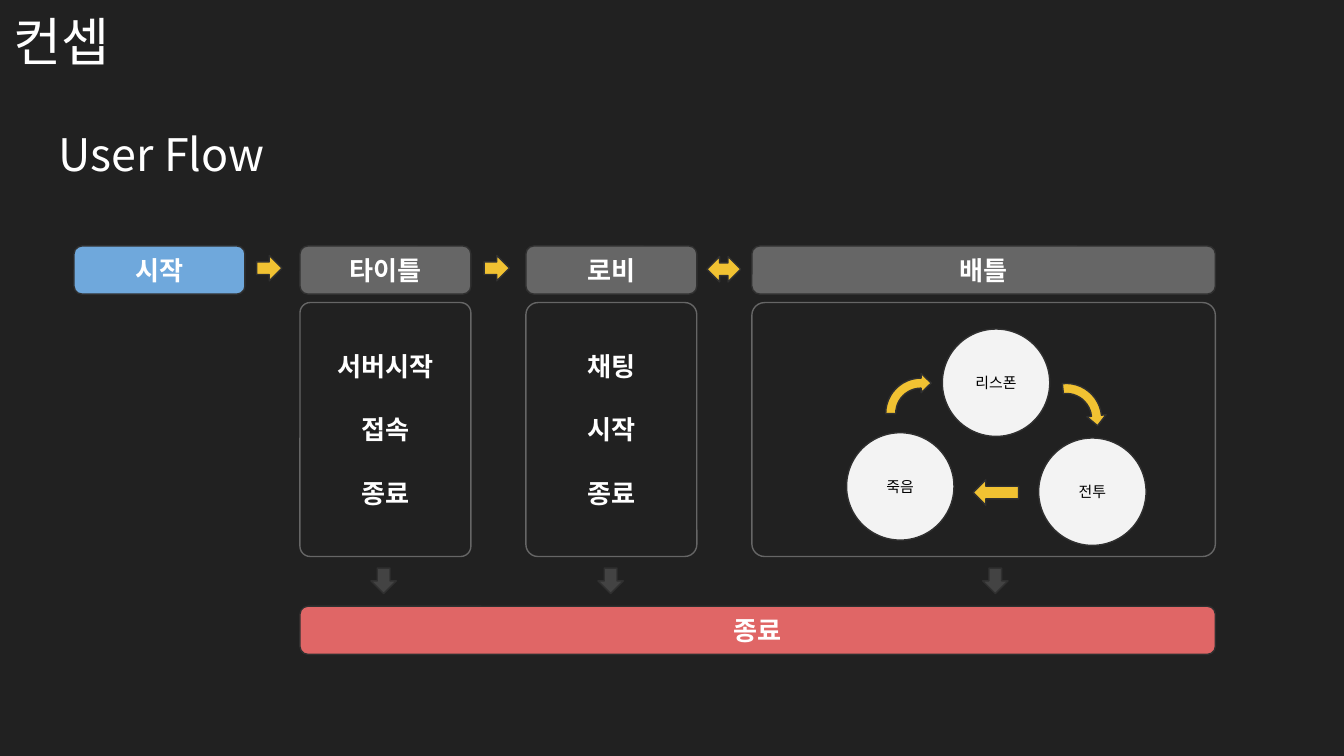
from pptx import Presentation
from pptx.dml.color import RGBColor
from pptx.enum.shapes import MSO_SHAPE
from pptx.enum.text import MSO_ANCHOR, PP_ALIGN
from pptx.oxml.ns import qn
from pptx.util import Cm, Pt
from lxml import etree

ROUND, OVAL = MSO_SHAPE.ROUNDED_RECTANGLE, MSO_SHAPE.OVAL
RIGHT, BOTH = MSO_SHAPE.RIGHT_ARROW, MSO_SHAPE.LEFT_RIGHT_ARROW
BENT = MSO_SHAPE.BENT_ARROW
TOP, MIDDLE = MSO_ANCHOR.TOP, MSO_ANCHOR.MIDDLE
LEFT, CENTER = PP_ALIGN.LEFT, PP_ALIGN.CENTER
NOTO, ARIAL = "Noto Sans CJK KR", "Arial"
WHITE, BLACK, GRAY, EDGE = "FFFFFF", "000000", "666666", "303030"
GOLD, DARK, PALE = "F1C232", "434343", "F3F3F3"
rgb = RGBColor.from_string


def write(shape, lines, size, font, color, bold=False, align=CENTER, anchor=MIDDLE):
    frame = shape.text_frame
    frame.word_wrap = True
    frame.vertical_anchor = anchor
    frame.margin_left = frame.margin_right = Cm(0.25)
    frame.margin_top = frame.margin_bottom = Cm(0.25)
    for i, line in enumerate(lines):
        para = frame.add_paragraph() if i else frame.paragraphs[0]
        para.alignment = align
        if i:
            para.space_before = Pt(17)
        if anchor == TOP:
            para.line_spacing = 0.9
        run = para.add_run()
        run.text = line
        run.font.size = Pt(size)
        run.font.name = font
        run.font.bold = bold
        run.font.color.rgb = rgb(color)
        east = etree.SubElement(run.font._element, qn("a:ea"))
        east.set("typeface", font)


def draw(kind, x, y, w, h, fill=None, line=EDGE, adj=(), turn=0):
    shape = slide.shapes.add_shape(kind, Cm(x), Cm(y), Cm(w), Cm(h))
    shape.shadow.inherit = False
    if fill:
        shape.fill.solid()
        shape.fill.fore_color.rgb = rgb(fill)
    else:
        shape.fill.background()
    shape.line.color.rgb = rgb(line)
    shape.line.width = Pt(0.75)
    for i, value in enumerate(adj):
        shape.adjustments[i] = value
    shape.rotation = turn
    return shape


deck = Presentation()
deck.slide_width, deck.slide_height = Cm(25.4), Cm(14.29)
slide = deck.slides.add_slide(deck.slide_layouts[5])
slide.background.fill.solid()
slide.background.fill.fore_color.rgb = rgb("212121")

title = slide.shapes.title
title.left, title.top, title.width, title.height = Cm(0), Cm(0.05), Cm(25.4), Cm(1.6)
write(title, ["컨셉"], 28, NOTO, WHITE, align=LEFT, anchor=TOP)
head = slide.shapes.add_textbox(Cm(0.86), Cm(2.26), Cm(23.67), Cm(1.6))
write(head, ["User Flow"], 24, NOTO, WHITE, align=LEFT, anchor=TOP)

start, step, slim, wide = 1.4, 4.27, 3.23, 8.76
cols = [start + step * i for i in range(4)]

stages = [
    ("시작", slim, "6FA8DC", None, 0),
    ("타이틀", slim, GRAY, ["서버시작", "접속", "종료"], 0.06),
    ("로비", slim, GRAY, ["채팅", "시작", "종료"], 0.07),
    ("배틀", wide, GRAY, [], 0.05),
]
for x, (name, w, fill, items, curve) in zip(cols, stages):
    write(draw(ROUND, x, 4.65, w, 0.91, fill), [name], 14, ARIAL, WHITE, True)
    if items is not None:
        panel = draw(ROUND, x, 5.72, w, 4.8, line=GRAY, adj=[curve])
        write(panel, items, 14, ARIAL, WHITE, True)

end = draw(ROUND, cols[1], 11.46, cols[3] + wide - cols[1], 0.91, "E06666")
write(end, ["종료"], 14, ARIAL, WHITE, True)

for name, x, y in [("전투", 19.63, 8.28), ("죽음", 16, 8.18), ("리스폰", 17.81, 6.22)]:
    write(draw(OVAL, x, y, 2.03, 2.03, PALE), [name], 8, NOTO, BLACK)

bend = [0.25, 0.24, 0.25, 0.88]
arrows = [
    (RIGHT, 4.85, 4.83, 0.48, 0.48, GOLD, [], 0),
    (RIGHT, 9.15, 4.83, 0.48, 0.48, GOLD, [], 0),
    (BOTH, 13.36, 4.85, 0.64, 0.48, GOLD, [], 0),
    (BENT, 20.07, 7.26, 0.86, 0.76, GOLD, bend, 84),
    (BENT, 16.74, 7.06, 0.86, 0.76, GOLD, bend, 0),
    (RIGHT, 18.39, 9.07, 0.86, 0.48, GOLD, [], 180),
]
for x in (7.01, 11.3, 18.57):
    arrows.append((RIGHT, x, 10.74, 0.48, 0.48, DARK, [], 90))
for kind, x, y, w, h, fill, adj, turn in arrows:
    draw(kind, x, y, w, h, fill, adj=adj, turn=turn)

deck.save("out.pptx")
